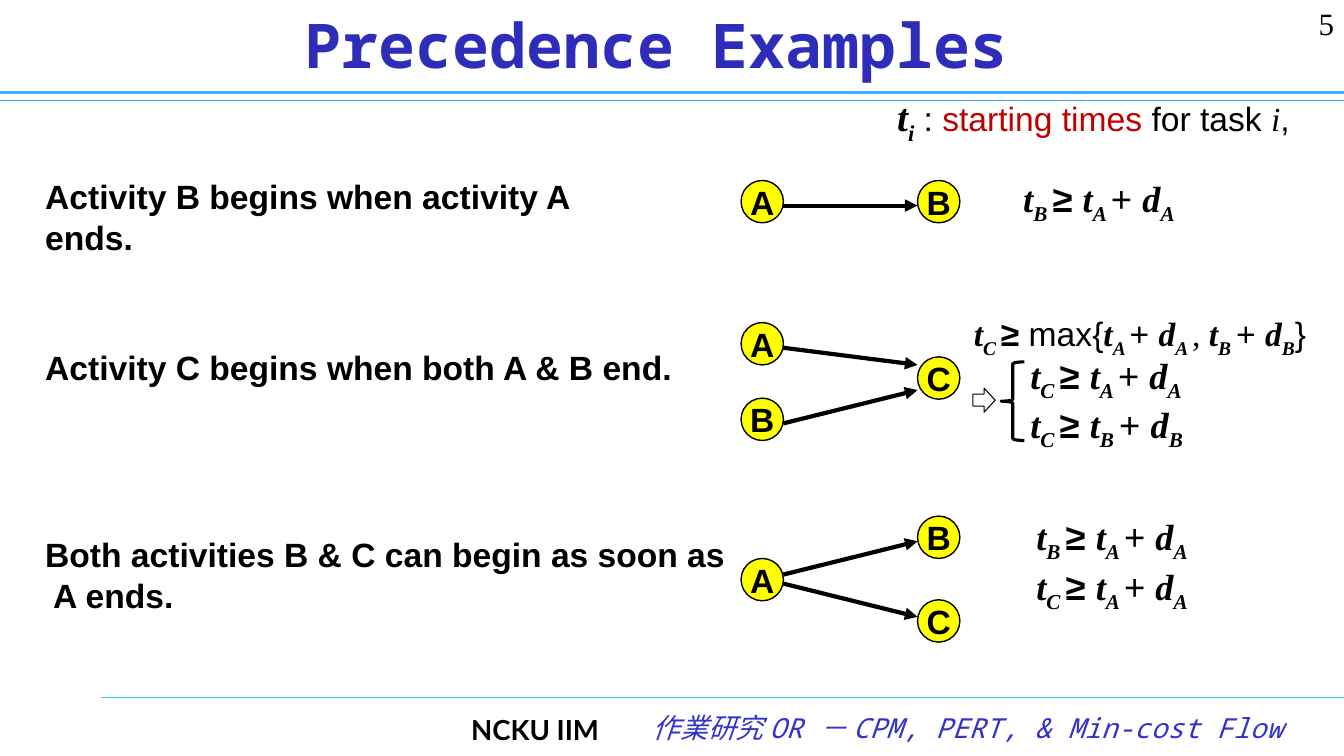
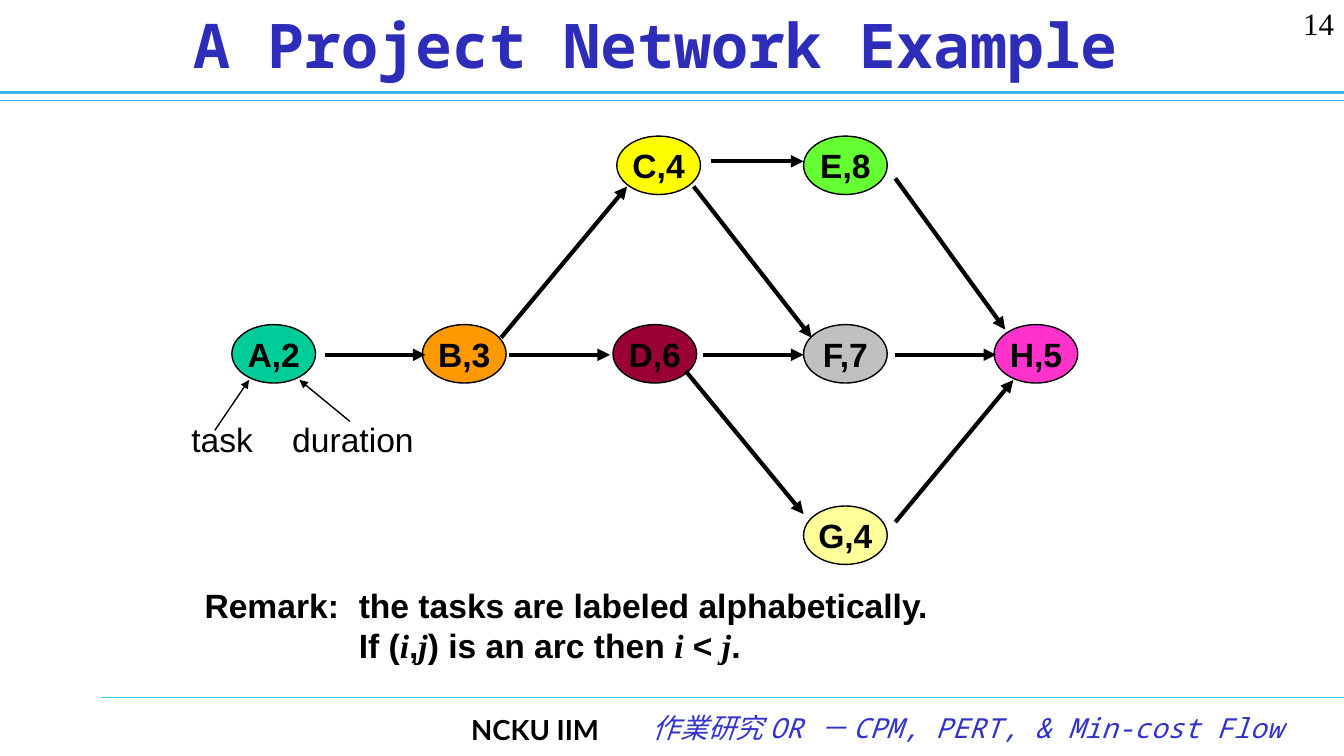
from lxml import etree
from pptx import Presentation
from pptx.dml.color import RGBColor
from pptx.enum.shapes import MSO_CONNECTOR, MSO_SHAPE
from pptx.enum.text import MSO_ANCHOR, MSO_AUTO_SIZE, PP_ALIGN
from pptx.oxml.ns import qn
from pptx.util import Inches, Pt

STRAIGHT = MSO_CONNECTOR.STRAIGHT
ELLIPSE, BRACE, BLOCK_ARROW = MSO_SHAPE.OVAL, MSO_SHAPE.LEFT_BRACE, MSO_SHAPE.RIGHT_ARROW
LEFT, CENTER, RIGHT = PP_ALIGN.LEFT, PP_ALIGN.CENTER, PP_ALIGN.RIGHT
MIDDLE = MSO_ANCHOR.MIDDLE
NO_AUTOFIT = MSO_AUTO_SIZE.NONE

# Shared look
WIDTH, HEIGHT = 13.33, 7.5
TITLE_ONLY = 5
BLACK, TITLE_BLUE, FOOTER_BLUE = "000000", "2D2DB9", "3333CC"
RULE_BLUE, RULE_CYAN = "3DB0FF", "33CCFF"
YELLOW, RED = "FFFF00", "C00000"
SANS, SERIF, MONO, FOOTER_FONT = "Arial", "Times New Roman", "Noto Sans Mono", "Lato"
BODY_SIZE, FORMULA_SIZE = 24, 26

# Run styles
PLAIN = {"font": SANS}
BOLD = {"font": SANS, "bold": True}
ACCENT = {"font": SANS, "color": RED}
ROMAN = {"font": SERIF}
ITALIC = {"font": SERIF, "italic": True}
VARIABLE = {"font": SERIF, "bold": True, "italic": True}
SUBSCRIPT = {**VARIABLE, "baseline": -25000}


def color(hex_string):
    return RGBColor.from_string(hex_string)


def add_run(paragraph, text, size=BODY_SIZE, font=SANS, color_hex=BLACK,
            bold=False, italic=False, baseline=0):
    run = paragraph.add_run()
    run.text = text
    run.font.name = font
    run.font.size = Pt(size)
    run.font.bold = bold
    run.font.italic = italic
    run.font.color.rgb = color(color_hex)
    if baseline:
        run.font._element.set("baseline", str(baseline))


def fill_paragraph(paragraph, runs, size=BODY_SIZE):
    """Write (text, style) pairs; a line feed stands for a line break."""
    for text, style in runs:
        if text == "\n":
            paragraph.add_line_break()
            continue
        options = dict(style)
        add_run(paragraph, text, options.pop("size", size), options.pop("font"),
                options.pop("color", BLACK), **options)


def add_text(slide, left, top, width, height, paragraphs, size=BODY_SIZE,
             align=LEFT, wrap=True, space_before=0):
    shape = slide.shapes.add_textbox(Inches(left), Inches(top), Inches(width), Inches(height))
    frame = shape.text_frame
    frame.word_wrap = wrap
    for index, runs in enumerate(paragraphs):
        paragraph = frame.add_paragraph() if index else frame.paragraphs[0]
        paragraph.alignment = align
        paragraph.space_before = Pt(space_before)
        fill_paragraph(paragraph, runs, size)
    return shape


def add_line(slide, start, end, color_hex=BLACK, weight=3, arrow=False):
    line = slide.shapes.add_connector(STRAIGHT, *(Inches(v) for v in (*start, *end)))
    line.line.color.rgb = color(color_hex)
    line.line.width = Pt(weight)
    if arrow:
        etree.SubElement(line.line._get_or_add_ln(), qn("a:tailEnd"), type="triangle")
    etree.SubElement(line._element.spPr, qn("a:effectLst"))


def add_outline(slide, kind, left, top, width, height, weight=1, fill=None):
    shape = slide.shapes.add_shape(kind, Inches(left), Inches(top), Inches(width), Inches(height))
    shape.shadow.inherit = False
    shape.line.color.rgb = color(BLACK)
    shape.line.width = Pt(weight)
    if fill:
        shape.fill.solid()
        shape.fill.fore_color.rgb = color(fill)
    else:
        shape.fill.background()
    return shape


def add_node(slide, label, left, top, width, height, fill=YELLOW):
    frame = add_outline(slide, ELLIPSE, left, top, width, height, fill=fill).text_frame
    frame.margin_left = frame.margin_right = frame.margin_top = frame.margin_bottom = 0
    frame.word_wrap = False
    frame.vertical_anchor = MIDDLE
    frame.paragraphs[0].alignment = CENTER
    add_run(frame.paragraphs[0], label, bold=True)


def add_base_slide(presentation, title, number):
    """Title, slide number, rules and footer."""
    slide = presentation.slides.add_slide(presentation.slide_layouts[TITLE_ONLY])
    # Rules
    add_line(slide, (0, 1), (WIDTH, 1), RULE_BLUE, 0.75)
    add_line(slide, (0, 0.92), (WIDTH, 0.92), RULE_BLUE, 2.5)
    add_line(slide, (1, 6.92), (WIDTH, 6.92), RULE_CYAN, 0.75)
    # Footer
    add_text(slide, 2.44, 7.02, 3.6, 0.45,
             [[("NCKU IIM", {"font": FOOTER_FONT, "bold": True})]], 19.7, RIGHT)
    add_text(slide, 6.04, 7, 6.78, 0.5,
             [[("作業研究 OR － CPM, PERT, & Min-cost Flow",
                {"font": MONO, "color": FOOTER_BLUE, "italic": True})]], 19.7, RIGHT)
    # Title
    heading = slide.shapes.title
    heading.left, heading.top = Inches(0.35), Inches(0)
    heading.width, heading.height = Inches(12.32), Inches(0.87)
    frame = heading.text_frame
    frame.auto_size = NO_AUTOFIT
    frame.vertical_anchor = MIDDLE
    frame.paragraphs[0].alignment = CENTER
    add_run(frame.paragraphs[0], title, 44, MONO, TITLE_BLUE, bold=True)
    # Slide number
    add_text(slide, 12.67, 0, 0.66, 0.5, [[(str(number), ROMAN)]], 22.1, RIGHT)
    return slide


# Formulas
def variable(name, task, gap=" "):
    return [(name, VARIABLE), (task + gap, SUBSCRIPT)]


def finish_time(task, gap=""):
    return variable("t", task) + [("+ ", PLAIN)] + variable("d", task, gap)


def starts_after(task, predecessor):
    return variable("t", task) + [("≥ ", BOLD)] + finish_time(predecessor)


def add_precedence(slide, left, top, sources, targets, edges):
    """Small graph: nodes as (label, offset), edges as (start, end) offsets."""
    node, span = 0.42, 1.75
    for column, nodes in enumerate((sources, targets)):
        for label, offset in nodes:
            add_node(slide, label, left + column * span, top + offset, node, node)
    for start, end in edges:
        add_line(slide, (left + node, top + start), (left + span, top + end), arrow=True)


def build_precedence_slide(presentation):
    slide = add_base_slide(presentation, "Precedence Examples", 5)
    # Graphs
    graphs = [
        (1.79, [("A", 0)], [("B", 0)], [(0.25, 0.25)]),
        (3.2, [("A", 0), ("B", 0.75)], [("C", 0.34)], [(0.25, 0.42), (1, 0.67)]),
        (5.12, [("A", 0.42)], [("B", 0), ("C", 0.83)], [(0.58, 0.25), (0.67, 1)]),
    ]
    for top, sources, targets, edges in graphs:
        add_precedence(slide, 7.35, top, sources, targets, edges)
    # Statements
    statements = [
        (1.7, 6.35, 0.91, ["Activity B begins when activity A ends."]),
        (3.39, 6.84, 0.5, ["Activity C begins when both A & B end."]),
        (5.25, 7.3, 0.91, ["Both activities B & C can begin as soon as", "\n", " A ends."]),
    ]
    for top, width, height, parts in statements:
        add_text(slide, 0.35, top, width, height, [[(part, BOLD) for part in parts]],
                 space_before=4.8)
    # Legend
    legend = [("t", {**VARIABLE, "size": 28}), ("i", {**SUBSCRIPT, "size": 28}),
              (" : ", PLAIN), ("starting times ", ACCENT), ("for task ", PLAIN),
              ("i", ITALIC), (",", PLAIN)]
    add_text(slide, 8.8, 0.87, 4.14, 0.57, [legend], wrap=False)
    # Constraints
    constraints = [
        (10.05, 1.7, 1.96, 0.54, ["BA"]),
        (10.12, 3.45, 1.89, 0.98, ["CA", "CB"]),
        (10.18, 5.05, 1.89, 0.98, ["BA", "CA"]),
    ]
    for *box, pairs in constraints:
        add_text(slide, *box, [starts_after(*pair) for pair in pairs], FORMULA_SIZE, wrap=False)
    maximum = (variable("t", "C") + [("≥ ", BOLD), ("max{", PLAIN)] + finish_time("A", " ")
               + [(", ", ROMAN)] + finish_time("B") + [("}", PLAIN)])
    add_text(slide, 9.56, 3.06, 3.77, 0.5, [maximum], wrap=False)
    add_outline(slide, BRACE, 9.93, 3.59, 0.23, 0.78, 2.25)
    add_outline(slide, BLOCK_ARROW, 9.65, 3.85, 0.22, 0.24, 0.75)


def add_network(slide, left, top):
    """Project network: nodes by column and row, arcs by offsets from the corner."""
    pitch, rows = 1.89, (0, 1.87, 3.67)
    nodes = [
        ("A,2", 0, 1, "00CC99"), ("B,3", 1, 1, "FF9900"), ("D,6", 2, 1, "990033"),
        ("C,4", 2.02, 0, YELLOW), ("G,4", 3, 2, "FFFF99"), ("F,7", 3, 1, "C0C0C0"),
        ("E,8", 3, 0, "66FF33"), ("H,5", 4, 1, "FF33CC"),
    ]
    for label, column, row, fill in nodes:
        add_node(slide, label, left + column * pitch, top + rows[row], 0.83, 0.58, fill)
    level_arcs = [((x, 2.17), (x + 1, 2.17)) for x in (0.92, 2.75, 4.67, 6.58)]
    other_arcs = [
        ((2.67, 2), (3.92, 0.5)),        # B to C
        ((4.75, 0.25), (5.67, 0.25)),    # C to E
        ((4.58, 0.5), (5.75, 2)),        # C to F
        ((4.5, 2.33), (5.67, 3.75)),     # D to G
        ((6.58, 0.42), (7.67, 1.92)),    # E to H
        ((6.58, 3.83), (7.75, 2.42)),    # G to H
    ]
    for (x1, y1), (x2, y2) in level_arcs + other_arcs:
        add_line(slide, (left + x1, top + y1), (left + x2, top + y2), arrow=True)


def build_network_slide(presentation):
    slide = add_base_slide(presentation, "A Project Network Example", 14)
    add_network(slide, 2.3, 1.35)
    # Callouts
    callouts = [
        ("task", 1.8, 0.82, (2.13, 4.27), (2.47, 3.77)),
        ("duration", 2.8, 1.42, (3.47, 4.18), (2.97, 3.77)),
    ]
    for label, left, width, start, end in callouts:
        add_text(slide, left, 4.11, width, 0.51, [[(label, PLAIN)]], wrap=False)
        add_line(slide, start, end, weight=1, arrow=True)
    # Remark with a hanging indent
    symbol = VARIABLE
    remark = [("Remark:\tthe tasks are labeled alphabetically.", BOLD), ("\n", BOLD),
              ("If (", BOLD), ("i", symbol), (",", BOLD), ("j", symbol),
              (") is an arc then ", BOLD), ("i", symbol), (" < ", BOLD),
              ("j", symbol), (".", BOLD)]
    shape = add_text(slide, 1.93, 5.75, 8.58, 0.91, [remark], space_before=12)
    properties = shape.text_frame.paragraphs[0]._p.get_or_add_pPr()
    properties.set("marL", str(Inches(1.53)))
    properties.set("indent", str(-Inches(1.53)))


def main():
    presentation = Presentation()
    presentation.slide_width, presentation.slide_height = Inches(WIDTH), Inches(HEIGHT)
    build_precedence_slide(presentation)
    build_network_slide(presentation)
    presentation.save("out.pptx")


if __name__ == "__main__":
    main()
